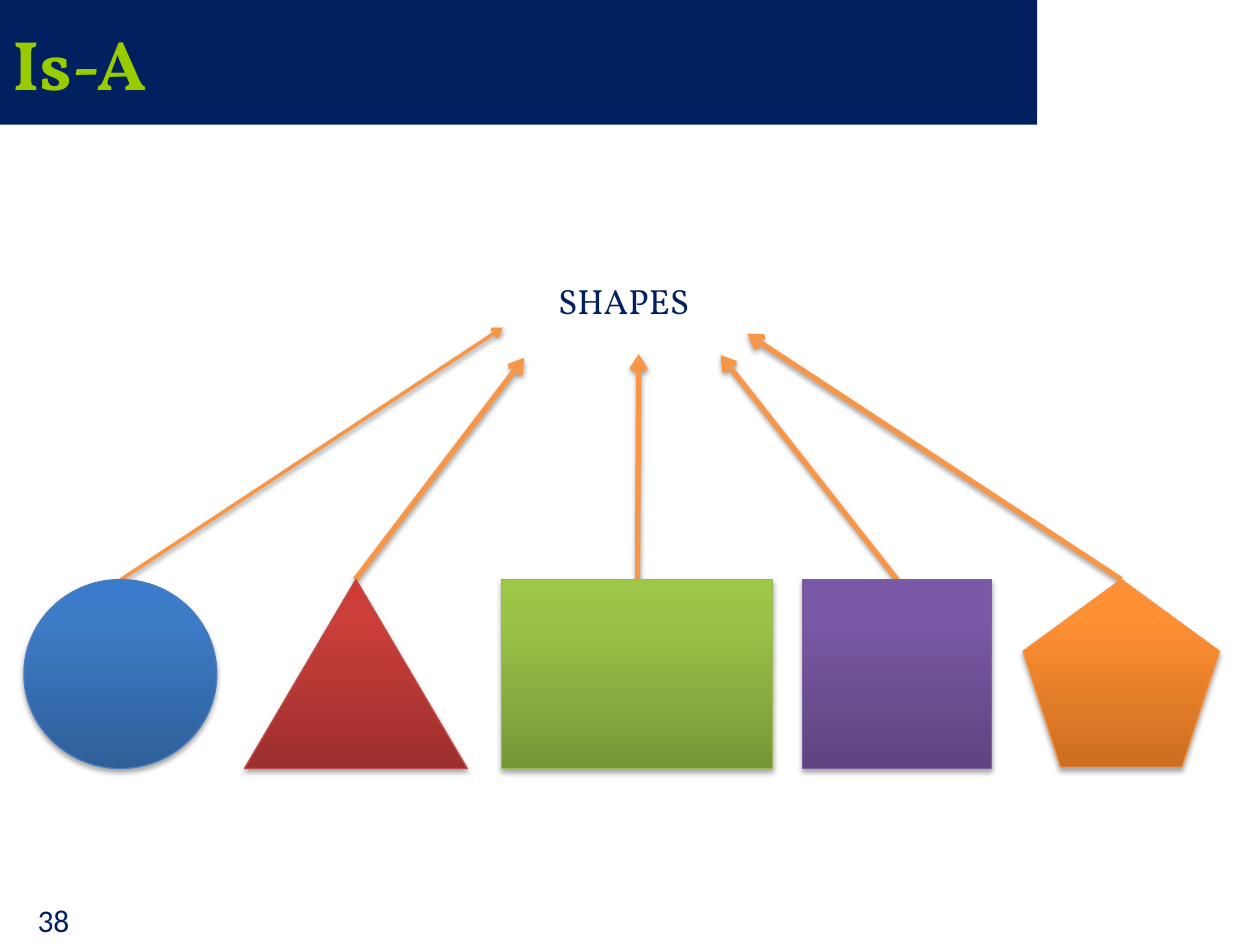
from copy import deepcopy
from lxml import etree
from pptx import Presentation
from pptx.dml.color import RGBColor
from pptx.enum.shapes import MSO_CONNECTOR, MSO_SHAPE
from pptx.enum.text import MSO_ANCHOR, MSO_AUTO_SIZE, PP_ALIGN
from pptx.oxml.ns import qn
from pptx.util import Pt

LINE = MSO_CONNECTOR.STRAIGHT
OVAL = MSO_SHAPE.OVAL
TRI = MSO_SHAPE.ISOSCELES_TRIANGLE
RECT = MSO_SHAPE.RECTANGLE
PENTA = MSO_SHAPE.REGULAR_PENTAGON
MID = MSO_ANCHOR.MIDDLE
LEFT = PP_ALIGN.LEFT
GROW = MSO_AUTO_SIZE.SHAPE_TO_FIT_TEXT
FIXED = MSO_AUTO_SIZE.NONE

NAVY = "002060"
LIME = "99CC00"
AMBER = "F79646"
TOP = 331.2

FORMS = [
    (OVAL, 13.7, 110.2, 108, ("2F5F99", "3D7CC7", "3A7CCB"), "4B7EBC"),
    (TRI, 139.7, 127.4, 108, ("9C2F2D", "CB3E3A", "CE3B37"), "BF4C48"),
    (RECT, 286.6, 154.8, 108, ("779737", "9BC348", "9DC746"), "98B955"),
    (RECT, 458.6, 108, 108, ("5F4480", "7B58A6", "7C57A8"), "7D60A0"),
    (PENTA, 584.6, 112.3, 107.3, ("CC6E20", "FF9034", "FF9136"), "F69240"),
]
ARROWS = [
    (69.1, 287.3, 187.2, 2),
    (203, 299.5, 204.5, 3),
    (364.3, 365, 202.3, 3),
    (512.6, 411.8, 203, 3),
    (640.8, 427, 190.8, 3),
]


def color(code):
    return RGBColor.from_string(code)


def apply(item, values):
    for name, value in values.items():
        setattr(item, name, value)


def shade(shape, alpha, gap):
    effects = etree.SubElement(shape._element.spPr, qn("a:effectLst"))
    outer = etree.SubElement(
        effects, qn("a:outerShdw"), blurRad=str(Pt(3.1)), dist=str(Pt(gap)),
        dir="5400000", rotWithShape="0")
    tone = etree.SubElement(outer, qn("a:srgbClr"), val="000000")
    etree.SubElement(tone, qn("a:alpha"), val=str(alpha * 1000))


def write(frame, text, font, code):
    para = frame.paragraphs[0]
    para.alignment = LEFT
    run = para.add_run()
    run.text = text
    apply(run.font, font)
    run.font.color.rgb = color(code)


def add_title(slide, left, top, width, height):
    title = slide.shapes.title
    apply(title, {"left": Pt(left), "top": Pt(top),
                  "width": Pt(width), "height": Pt(height)})
    title.fill.solid()
    title.fill.fore_color.rgb = color(NAVY)
    apply(title.text_frame, {"vertical_anchor": MID, "auto_size": FIXED})
    write(title.text_frame, "Is-A",
          {"name": "Vollkorn", "size": Pt(40), "bold": True}, LIME)


def add_label(slide, left, top, width, height, text, font, frame):
    box = slide.shapes.add_textbox(Pt(left), Pt(top), Pt(width), Pt(height))
    apply(box.text_frame, frame)
    write(box.text_frame, text, font, NAVY)


def add_arrow(slide, start, end, top, weight):
    arrow = slide.shapes.add_connector(
        LINE, Pt(start), Pt(TOP), Pt(end), Pt(top))
    arrow.line.width = Pt(weight)
    arrow.line.color.rgb = color(AMBER)
    etree.SubElement(arrow.line._get_or_add_ln(), qn("a:tailEnd"),
                     type="arrow")
    shade(arrow, 38, 1.6)


def add_form(slide, kind, left, width, height, tones, edge):
    form = slide.shapes.add_shape(
        kind, Pt(left), Pt(TOP), Pt(width), Pt(height))
    form.fill.gradient()
    form.fill.gradient_angle = 90
    stops = form._element.spPr.find(".//" + qn("a:gsLst"))
    stops.append(deepcopy(stops[-1]))
    for stop, place, tone in zip(form.fill.gradient_stops, (0, 0.8, 1), tones):
        stop.position = place
        stop.color.rgb = color(tone)
    form.line.width = Pt(0.75)
    form.line.color.rgb = color(edge)
    shade(form, 35, 1.8)


def main():
    deck = Presentation()
    apply(deck, {"slide_width": Pt(720), "slide_height": Pt(540)})
    slide = deck.slides.add_slide(deck.slide_layouts[5])
    add_title(slide, 0, 0, 592.6, 71.3)
    for arrow in ARROWS:
        add_arrow(slide, *arrow)
    for form in FORMS:
        add_form(slide, *form)
    add_label(slide, 311.8, 156.2, 95.8, 31.7, "SHAPES",
              {"name": "Vollkorn", "size": Pt(20)},
              {"word_wrap": False, "auto_size": GROW})
    add_label(slide, 14.4, 511.2, 45.4, 28.8, "38",
              {"name": "Calibri", "size": Pt(18)}, {"word_wrap": True})
    deck.save("out.pptx")


if __name__ == "__main__":
    main()
